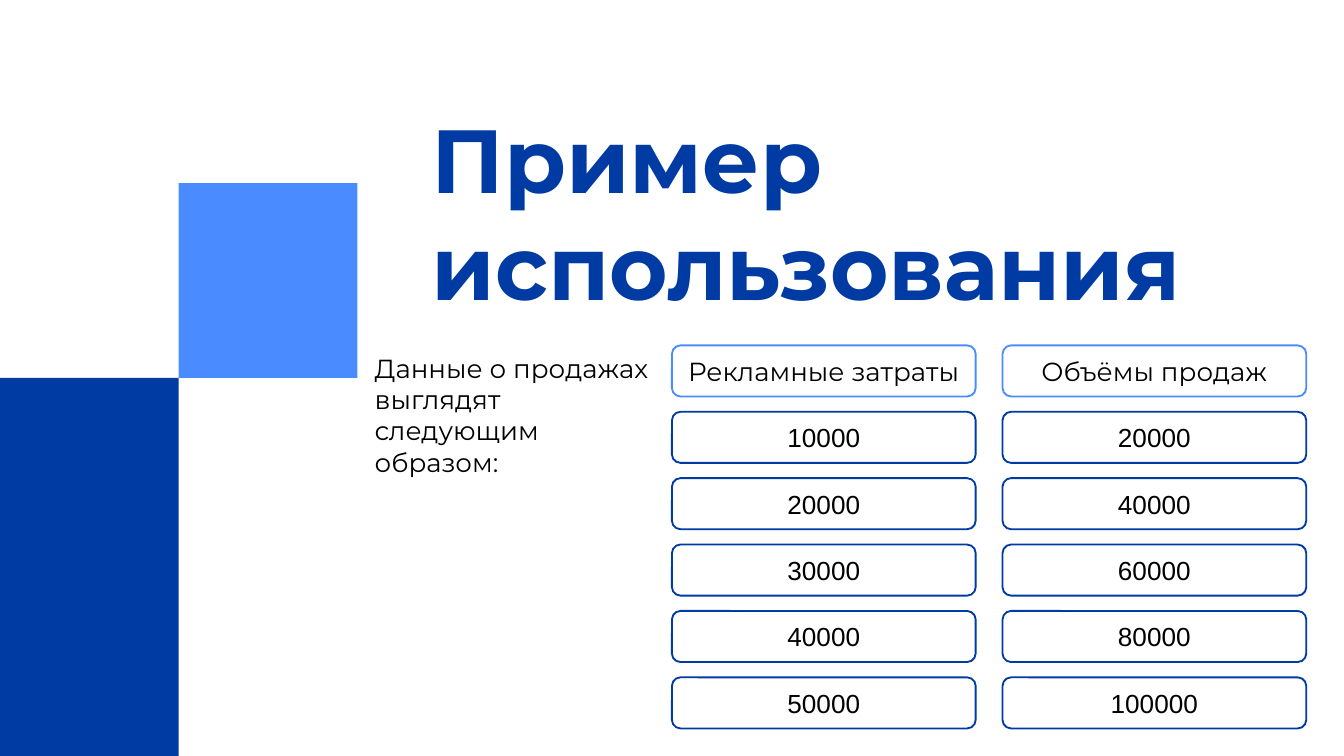
"""Build a slide that sets advertising costs beside sales volumes."""
import pptx
import pptx.dml.color
import pptx.enum.shapes
import pptx.enum.text
import pptx.util

Inches = pptx.util.Inches
Shapes = pptx.enum.shapes.MSO_SHAPE
Align = pptx.enum.text.PP_ALIGN
Anchor = pptx.enum.text.MSO_ANCHOR

WIDTH = 10
HEIGHT = WIDTH * 9 / 16
COLOURS = {"navy": "003BA3", "sky": "4A8CFF", "white": "FFFFFF", "black": "000000"}
HEADINGS = ("Рекламные затраты", "Объёмы продаж")
SALES = ((10000, 20000), (20000, 40000), (30000, 60000), (40000, 80000), (50000, 100000))
FIRST_ROW, LAST_ROW = 2.57, 5.04


def colour(name):
    return pptx.dml.color.RGBColor.from_string(COLOURS[name])


def write(shape, text, font="Montserrat", size=14, ink="black", bold=False,
          align=Align.LEFT, anchor=Anchor.TOP, indent=0):
    frame = shape.text_frame
    frame.word_wrap = True
    frame.auto_size = pptx.enum.text.MSO_AUTO_SIZE.NONE
    frame.vertical_anchor = anchor
    frame.margin_left = frame.margin_right = Inches(0.1)
    frame.margin_top = frame.margin_bottom = Inches(0.1)
    para = frame.paragraphs[0]
    para.alignment = align
    if indent:
        properties = para._p.get_or_add_pPr()
        properties.set("marL", str(Inches(indent)))
        properties.set("indent", "0")
    span = para.add_run()
    span.text = text
    span.font.name = font
    span.font.size = pptx.util.Pt(size)
    span.font.bold = bold
    span.font.color.rgb = colour(ink)


class SlideBuilder:
    def __init__(self, deck):
        self.slide = deck.slides.add_slide(deck.slide_layouts[5])

    def title(self, text, left, top, width, height):
        box = self.slide.shapes.title
        box.left, box.top = Inches(left), Inches(top)
        box.width, box.height = Inches(width), Inches(height)
        write(box, text, size=48, ink="navy", bold=True)

    def shape(self, kind, left, top, width, height, fill):
        shape = self.slide.shapes.add_shape(
            kind, Inches(left), Inches(top), Inches(width), Inches(height))
        shape.shadow.inherit = False
        shape.fill.solid()
        shape.fill.fore_color.rgb = colour(fill)
        return shape

    def panel(self, left, top, width, height, fill):
        self.shape(Shapes.RECTANGLE, left, top, width, height, fill).line.fill.background()

    def cell(self, text, left, top, outline, font):
        box = self.shape(Shapes.FLOWCHART_ALTERNATE_PROCESS, left, top, 2.26, 0.38, "white")
        box.line.color.rgb = colour(outline)
        box.line.width = pptx.util.Pt(1)
        write(box, text, font=font, align=Align.CENTER, anchor=Anchor.MIDDLE)

    def text(self, text, left, top, width, height, **style):
        box = self.slide.shapes.add_textbox(
            Inches(left), Inches(top), Inches(width), Inches(height))
        write(box, text, **style)


def main():
    deck = pptx.Presentation()
    deck.slide_width, deck.slide_height = Inches(WIDTH), Inches(HEIGHT)
    page = SlideBuilder(deck)
    middle = HEIGHT / 2
    page.panel(0, middle, 1.33, middle, "navy")
    page.panel(1.33, middle - 1.45, 1.33, 1.45, "sky")
    row_step = (LAST_ROW - FIRST_ROW) / len(SALES)
    for row, values in enumerate((HEADINGS, *SALES)):
        outline, font = ("navy", "Arial") if row else ("sky", "Montserrat")
        for column, value in enumerate(values):
            page.cell(str(value), 5 + 2.46 * column, FIRST_ROW + row_step * row, outline, font)
    page.text("Данные о продажах выглядят следующим образом:",
              2.54, 2.52, 2.46, 1.57, indent=0.15)
    page.title("Пример использования", 3.11, 0.67, 6, 0.79)
    deck.save("out.pptx")


if __name__ == "__main__":
    main()
